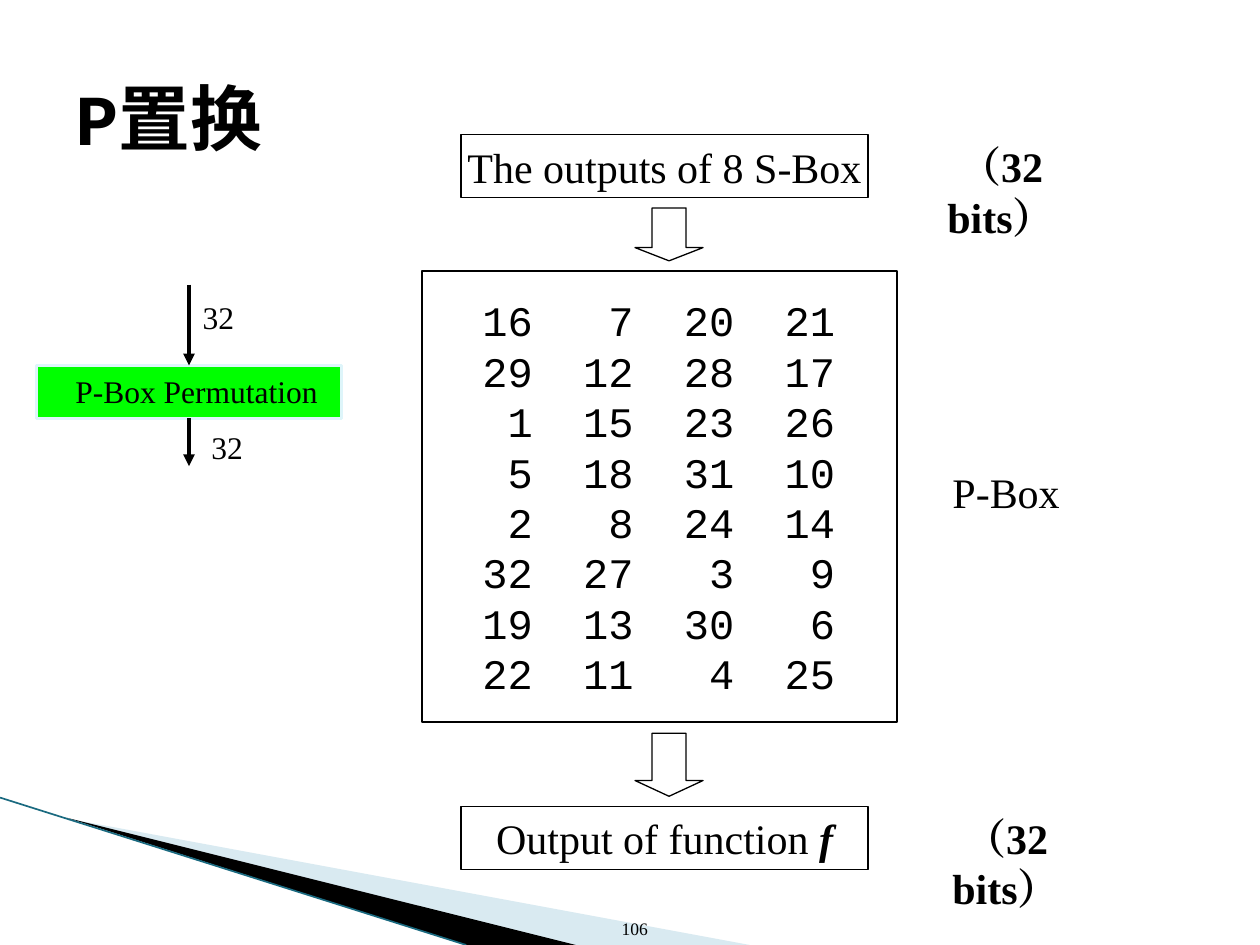
"""Build the slide on the P permutation of the DES round function."""
from lxml.etree import SubElement
from pptx import Presentation
from pptx.dml.color import RGBColor
from pptx.enum.shapes import MSO_CONNECTOR, MSO_SHAPE
from pptx.enum.text import MSO_ANCHOR as ANCHOR, PP_ALIGN as ALIGN
from pptx.oxml.ns import qn
from pptx.util import Inches, Pt

COLORS = {
    "ink": "000000",
    "paper": "FFFFFF",
    "green": "00FF00",
    "pale": "DEF5FA",
    "swoosh": "A0CBDC",
    "teal": "1A6A80",
}
SERIF, MONO = "Times New Roman", "Courier New"
P_BOX = [
    (16, 7, 20, 21),
    (29, 12, 28, 17),
    (1, 15, 23, 26),
    (5, 18, 31, 10),
    (2, 8, 24, 14),
    (32, 27, 3, 9),
    (19, 13, 30, 6),
    (22, 11, 4, 25),
]


def color(name):
    return RGBColor.from_string(COLORS[name])


def write(paragraph, text, font=SERIF, size=24, bold=False, italic=False):
    run = paragraph.add_run()
    run.text = text
    run.font.name, run.font.size = font, Pt(size)
    run.font.bold, run.font.italic = bold, italic
    run.font.color.rgb = color("ink")
    props = run._r.get_or_add_rPr()
    SubElement(props, qn("a:ea"), typeface=font)


def add_label(slide, box, text, align=ALIGN.LEFT, anchor=ANCHOR.TOP,
              wrap=False, inset=0.1, **style):
    frame = slide.shapes.add_textbox(*map(Inches, box)).text_frame
    frame.word_wrap, frame.vertical_anchor = wrap, anchor
    frame.margin_left = frame.margin_right = Inches(inset)
    frame.paragraphs[0].alignment = align
    write(frame.paragraphs[0], text, **style)


def add_block(slide, box, kind=MSO_SHAPE.RECTANGLE, fill="paper", line="ink", width=0.75):
    block = slide.shapes.add_shape(kind, *map(Inches, box))
    block.shadow.inherit = False
    block.fill.solid()
    block.fill.fore_color.rgb = color(fill)
    block.line.color.rgb = color(line)
    block.line.width = Pt(width)
    block.text_frame.vertical_anchor = ANCHOR.MIDDLE
    block.text_frame.word_wrap = False
    return block


def add_stage(slide, box, *parts):
    paragraph = add_block(slide, box).text_frame.paragraphs[0]
    paragraph.alignment = ALIGN.CENTER
    for text, style in parts:
        write(paragraph, text, **style)


def add_matrix(slide, box, rows, first_stop=0.78, step=0.8):
    frame = add_block(slide, box).text_frame
    frame.word_wrap = True
    for index, row in enumerate(rows):
        paragraph = frame.add_paragraph() if index else frame.paragraphs[0]
        paragraph.alignment = ALIGN.LEFT
        paragraph.line_spacing = Pt(28.8)
        stops = SubElement(paragraph._p.get_or_add_pPr(), qn("a:tabLst"))
        for column in range(len(row)):
            SubElement(stops, qn("a:tab"), algn="r",
                       pos=str(Inches(first_stop + column * step)))
        write(paragraph, "".join(f"\t{number}" for number in row), font=MONO)


def add_line(slide, start, end, line="ink", width=2.25, arrow=False):
    connector = slide.shapes.add_connector(
        MSO_CONNECTOR.STRAIGHT, *map(Inches, (*start, *end)))
    connector.line.color.rgb = color(line)
    connector.line.width = Pt(width)
    if arrow:
        SubElement(connector.line._get_or_add_ln(), qn("a:tailEnd"), type="triangle")
    SubElement(connector._element.spPr, qn("a:effectLst"))
    return connector


def add_wedge(slide, points, fill, opacity=100):
    start, *others = [(Inches(x), Inches(y)) for x, y in points]
    builder = slide.shapes.build_freeform(*start)
    builder.add_line_segments(others, close=True)
    wedge = builder.convert_to_shape()
    wedge.shadow.inherit = False
    wedge.fill.solid()
    wedge.fill.fore_color.rgb = color(fill)
    wedge.line.fill.background()
    if opacity < 100:
        tint = wedge._element.spPr.find(qn("a:solidFill"))[0]
        SubElement(tint, qn("a:alpha"), val=str(opacity * 1000))


def add_decoration(slide):
    add_wedge(slide, [(0.55, 6.5), (5.95, 7.5), (4.56, 7.5)], "swoosh", opacity=40)
    add_wedge(slide, [(0.53, 6.49), (4.57, 7.5), (3.7, 7.5)], "ink")
    add_line(slide, (0, 6.33), (3.7, 7.5), line="teal", width=0.95)


def add_permutation_step(slide):
    step = add_block(slide, (0.29, 2.9, 2.42, 0.42), fill="green", line="pale", width=1.5)
    incoming = add_line(slide, (1.5, 2.26), (1.5, 2.9), arrow=True)
    incoming.end_connect(step, 0)
    outgoing = add_line(slide, (1.5, 3.32), (1.5, 3.7), arrow=True)
    outgoing.begin_connect(step, 2)
    add_label(slide, (0.5, 2.9, 2.12, 0.4), "P-Box Permutation", size=18)
    for left, top in ((1.51, 2.32), (1.58, 3.35)):
        add_label(slide, (left, top, 0.45, 0.4), "32", size=18)


def add_flow(slide):
    add_stage(slide, (3.66, 1.07, 3.23, 0.5), ("The outputs of 8 S-Box", {}))
    add_matrix(slide, (3.35, 2.15, 3.77, 3.58), P_BOX)
    add_stage(slide, (3.66, 6.4, 3.23, 0.5), ("Output of function", {}),
              (" f", {"bold": True, "italic": True}))
    add_label(slide, (7.46, 3.65, 1.05, 0.5), "P-Box", align=ALIGN.CENTER)
    for left, top in ((7.04, 1.07), (7.08, 6.4)):
        add_label(slide, (left, top, 1.81, 0.5), "（32 bits）", align=ALIGN.CENTER,
                  wrap=True, inset=0.2, bold=True)
    for top, height in ((1.65, 0.42), (5.82, 0.5)):
        arrow = add_block(slide, (5.04, top, 0.54, height), kind=MSO_SHAPE.DOWN_ARROW)
        arrow.adjustments[0], arrow.adjustments[1] = 0.5, 0.25


def main():
    deck = Presentation()
    deck.slide_width, deck.slide_height = Inches(10), Inches(7.5)
    slide = deck.slides.add_slide(deck.slide_layouts[6])
    add_decoration(slide)
    add_label(slide, (4.68, 7.01, 0.56, 0.49), "106", align=ALIGN.RIGHT,
              anchor=ANCHOR.BOTTOM, wrap=True, size=10)
    add_label(slide, (0.5, 0.3, 9, 1.25), "P置换", anchor=ANCHOR.MIDDLE,
              wrap=True, font=MONO, size=41, bold=True)
    add_permutation_step(slide)
    add_flow(slide)
    deck.save("out.pptx")


if __name__ == "__main__":
    main()
